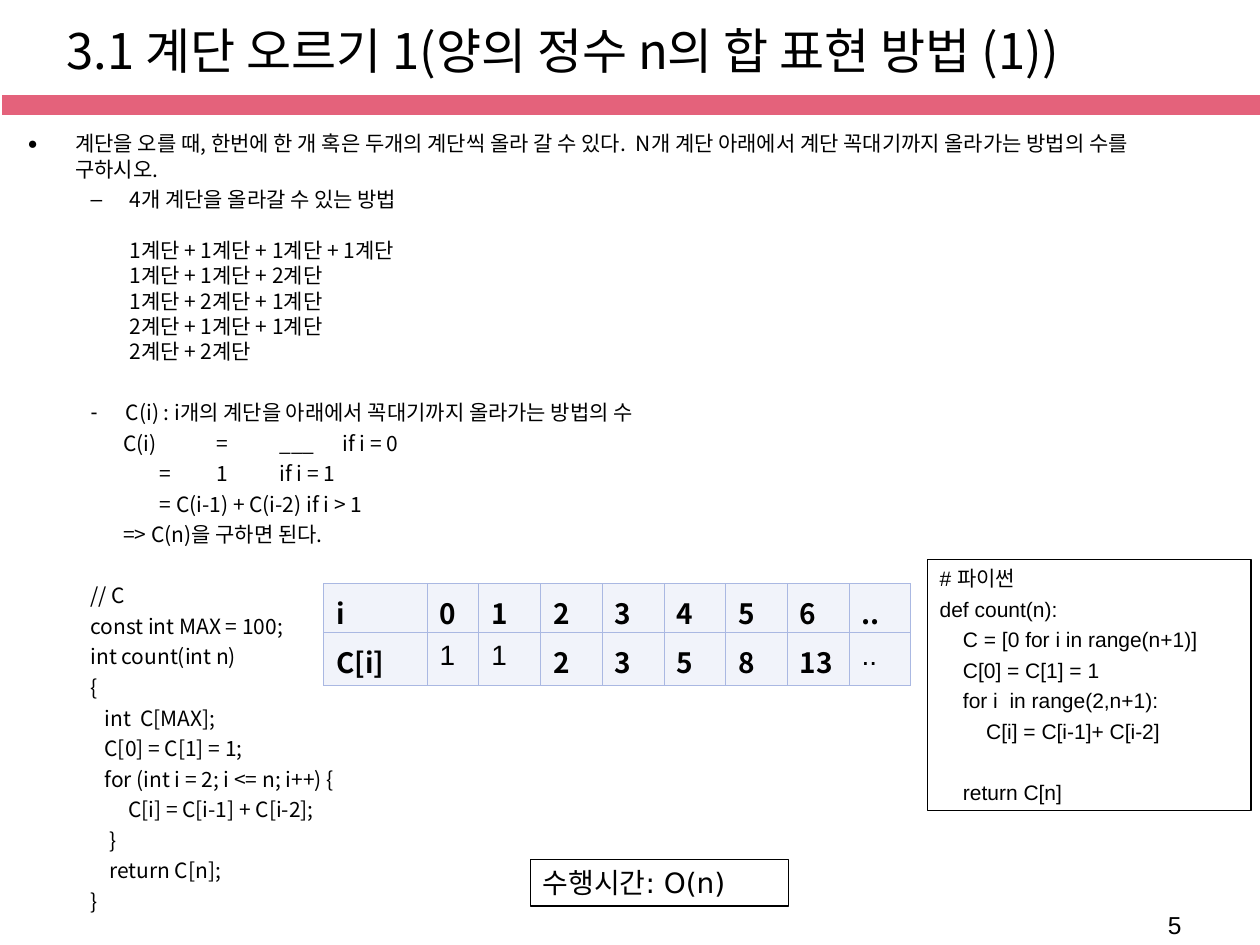
from dataclasses import dataclass

from lxml.etree import SubElement
from pptx import Presentation
from pptx.dml.color import RGBColor
from pptx.enum.shapes import MSO_SHAPE as Shape
from pptx.enum.text import MSO_ANCHOR as Anchor
from pptx.oxml.ns import qn
from pptx.util import Inches, Pt


@dataclass(frozen=True)
class Theme:
    black: str = "000000"
    white: str = "FFFFFF"
    band: str = "E4627B"
    cell: str = "F1F3FA"
    border: str = "AAB8E2"
    sans: str = "Noto Sans CJK KR"
    latin: str = "Arial"
    note: str = "DejaVu Sans"
    title: int = 28
    large: int = 16
    page: int = 14
    body: int = 12
    pitch: float = 14.45
    gap: int = 3
    blank_gap: float = 20.4


T = Theme()

STEP_SUMS = [
    "1계단 + 1계단 + 1계단 + 1계단",
    "1계단 + 1계단 + 2계단",
    "1계단 + 2계단 + 1계단",
    "2계단 + 1계단 + 1계단",
    "2계단 + 2계단",
]
C_CODE = [
    "// C",
    "const int MAX = 100;",
    "int count(int n)",
    "{",
    "   int  C[MAX];",
    "   C[0] = C[1] = 1;",
    "   for (int i = 2; i <= n; i++) {",
    "        C[i] = C[i-1] + C[i-2];",
    "    }",
    "    return C[n];",
    "}",
]
PYTHON_CODE = [
    "# 파이썬",
    "def count(n):",
    "    C = [0 for i in range(n+1)]",
    "    C[0] = C[1] = 1",
    "    for i  in range(2,n+1):",
    "        C[i] = C[i-1]+ C[i-2]",
    "    return C[n]",
]
FORMULAS = [
    ("C(i)\t=\t___\tif i = 0", 0.76, (1.17, 1.38, 1.88)),
    ("=\t1\tif i = 1", 1.05, (1.3, 1.65)),
    ("= C(i-1) + C(i-2) if i > 1", 1.05, ()),
    ("=> C(n)을 구하면 된다.", 0.76, ()),
]
COUNTS = [
    ["i", "0", "1", "2", "3", "4", "5", "6", ".."],
    ["C[i]", "1", "1", "2", "3", "5", "8", "13", ".."],
]
PLAIN_CELLS = {(1, 1), (1, 2), (1, 8)}


def rgb(color):
    return RGBColor.from_string(color)


def add_run(p, text, size, font, bold=False):
    r = p.add_run()
    r.text = text
    r.font.size = Pt(size)
    r.font.bold = bold
    r.font.name = font
    r.font.color.rgb = rgb(T.black)
    SubElement(r.font._element, qn("a:ea"), typeface=T.sans)


def set_indent(p, left, first=0.0, bullet=None, scale=100, tabs=()):
    pPr = p._p.get_or_add_pPr()
    pPr.set("marL", str(Inches(left)))
    pPr.set("indent", str(Inches(first)))
    if bullet:
        SubElement(pPr, qn("a:buSzPct"), val=str(scale * 1000))
        SubElement(pPr, qn("a:buFont"), typeface=T.latin)
        SubElement(pPr, qn("a:buChar"), char=bullet)
    if tabs:
        tab_list = SubElement(pPr, qn("a:tabLst"))
        for pos in tabs:
            SubElement(tab_list, qn("a:tab"), pos=str(Inches(pos)), algn="l")


def next_paragraph(tf, before=T.gap):
    if not tf.paragraphs[0].runs:
        return tf.paragraphs[0]
    p = tf.add_paragraph()
    p.space_before = Pt(before)
    return p


def add_line(tf, text, font=T.sans, before=T.gap, **indent):
    p = next_paragraph(tf, before)
    if indent:
        set_indent(p, **indent)
    p.line_spacing = Pt(T.pitch)
    for i, part in enumerate(text.split("\n")):
        if i:
            p.add_line_break()
        add_run(p, part, T.body, font)


def add_text(s, box, anchor=Anchor.TOP):
    tf = s.shapes.add_textbox(*map(Inches, box)).text_frame
    tf.word_wrap = True
    tf.vertical_anchor = anchor
    return tf


def add_rect(s, box, line, width, fill=None):
    sp = s.shapes.add_shape(Shape.RECTANGLE, *map(Inches, box))
    sp.shadow.inherit = False
    if fill:
        sp.fill.solid()
        sp.fill.fore_color.rgb = rgb(fill)
    else:
        sp.fill.background()
    sp.line.color.rgb = rgb(line)
    sp.line.width = Pt(width)
    return sp


def add_framed_text(s, box):
    sp = add_rect(s, box, T.black, 0.75)
    tf = sp.text_frame
    tf.word_wrap = True
    tf.vertical_anchor = Anchor.TOP
    tf.paragraphs[0].alignment = 1
    return tf


def add_body(s):
    tf = add_text(s, (0.12, 0.99, 9.29, 6.4))
    add_line(tf, "계단을 오를 때, 한번에 한 개 혹은 두개의 계단씩 올라 갈 수 있다.  "
             "N개 계단 아래에서 계단 꼭대기까지 올라가는 방법의 수를 구하시오.",
             left=0.38, first=-0.38, bullet="●", scale=80)
    add_line(tf, "4개 계단을 올라갈 수 있는 방법", left=0.81, first=-0.31, bullet="–")
    add_line(tf, "\n".join(STEP_SUMS), before=T.pitch, left=0.81)
    add_line(tf, "C(i) : i개의 계단을 아래에서 꼭대기까지 올라가는 방법의 수",
             before=T.blank_gap, left=0.78, first=-0.28, bullet="-")
    for text, first, tabs in FORMULAS:
        add_line(tf, text, left=0, first=first, tabs=tabs)
    for i, text in enumerate(C_CODE):
        add_line(tf, text, before=T.gap if i else T.blank_gap, left=0.5)


def add_python_box(s):
    tf = add_framed_text(s, (7.36, 4.44, 2.57, 1.99))
    for text in PYTHON_CODE:
        before = T.blank_gap if "return" in text else T.gap
        add_line(tf, text, T.latin, before, left=0)


def add_border(cell):
    tcPr = cell._tc.get_or_add_tcPr()
    for side in ("lnL", "lnR", "lnT", "lnB"):
        ln = SubElement(tcPr, qn(f"a:{side}"), w=str(Pt(0.45)))
        fill = SubElement(ln, qn("a:solidFill"))
        SubElement(fill, qn("a:srgbClr"), val=T.border)


def add_count_table(s):
    widths = [0.82, 0.41] + [0.49] * 7
    heights = [0.39, 0.42]
    box = (2.57, 4.63, sum(widths), sum(heights))
    table = s.shapes.add_table(len(heights), len(widths), *map(Inches, box)).table
    table.first_row = table.horz_banding = False
    for col, width in zip(table.columns, widths):
        col.width = Inches(width)
    for i, values in enumerate(COUNTS):
        table.rows[i].height = Inches(heights[i])
        for j, value in enumerate(values):
            plain = (i, j) in PLAIN_CELLS
            cell = table.cell(i, j)
            cell.margin_top = Inches(0.02 if plain else 0.1)
            cell.margin_bottom = 0
            add_border(cell)
            cell.fill.solid()
            cell.fill.fore_color.rgb = rgb(T.cell)
            p = cell.text_frame.paragraphs[0]
            p.line_spacing = Pt(20.8)
            add_run(p, value, T.large, T.latin if plain else T.sans, not plain)


def main():
    prs = Presentation()
    prs.slide_width, prs.slide_height = Inches(10), Inches(7.5)
    s = prs.slides.add_slide(prs.slide_layouts[6])
    add_rect(s, (0.01, 0.75, 10, 0.17), T.white, 1, T.band)
    page = add_text(s, (9.17, 7.17, 0.57, 0.34))
    add_run(page.paragraphs[0], "5", T.page, T.latin)
    add_body(s)
    title = add_text(s, (0.43, 0.02, 9.06, 0.75), Anchor.MIDDLE)
    add_run(title.paragraphs[0], "3.1 계단 오르기 1(양의 정수 n의 합 표현 방법 (1))", T.title, T.sans)
    add_count_table(s)
    runtime = add_framed_text(s, (4.21, 6.82, 2.05, 0.37))
    add_run(runtime.paragraphs[0], "수행시간: O(n)", T.large, T.note)
    add_python_box(s)
    prs.save("out.pptx")


if __name__ == "__main__":
    main()
